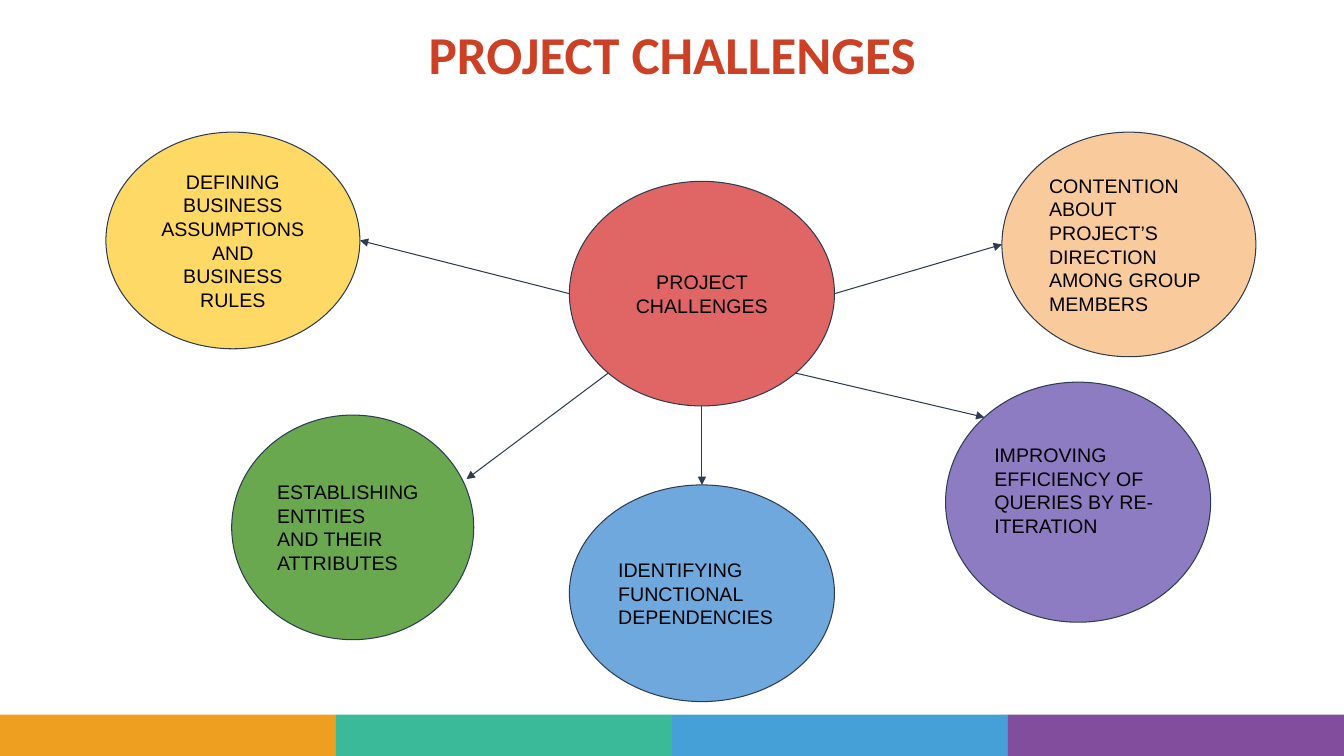
"""Build the project challenges slide: a hub with five arrows to its topics."""
import math

import pptx
import pptx.dml.color
import pptx.enum.shapes
import pptx.enum.text
import pptx.oxml
import pptx.oxml.ns
import pptx.util

Cm = pptx.util.Cm
Pt = pptx.util.Pt
RGB = pptx.dml.color.RGBColor
Align = pptx.enum.text.PP_ALIGN
Anchor = pptx.enum.text.MSO_ANCHOR
Shape = pptx.enum.shapes.MSO_SHAPE
Link = pptx.enum.shapes.MSO_CONNECTOR

WIDE, HIGH = 33.87, 19.05
BAND = 1.04
INSET = 0.25
DIAG = math.sqrt(0.5)

BLACK = RGB(0x00, 0x00, 0x00)
EDGE = RGB(0x2D, 0x3C, 0x50)
BRICK = RGB(0xCC, 0x41, 0x25)
BANDS = [
    RGB(0xEE, 0x9F, 0x20),
    RGB(0x3A, 0xBA, 0x99),
    RGB(0x46, 0xA0, 0xD8),
    RGB(0x82, 0x4D, 0x9D),
]

TITLE = "PROJECT CHALLENGES"
TITLE_BOX = (5.49, 0.48, 22.91, 3.15)

# name: (left, top, width, height), fill, alignment, bottom inset, paragraphs
OVALS = {
    "rules": ((2.67, 3.33, 6.4, 5.46), RGB(0xFF, 0xD9, 0x66), Align.CENTER, INSET,
              ["DEFINING BUSINESS ASSUMPTIONS", "AND", "BUSINESS RULES"]),
    "hub": ((14.35, 4.57, 6.68, 5.66), RGB(0xE0, 0x66, 0x66), Align.CENTER, INSET,
            ["PROJECT CHALLENGES"]),
    "entities": ((5.84, 10.46, 6.1, 5.66), RGB(0x6A, 0xA8, 0x4F), Align.LEFT, INSET,
                 ["ESTABLISHING ENTITIES", "AND THEIR ATTRIBUTES"]),
    "depends": ((14.35, 12.22, 6.68, 5.46), RGB(0x6F, 0xA8, 0xDC), Align.LEFT, INSET,
                ["IDENTIFYING FUNCTIONAL DEPENDENCIES"]),
    "group": ((25.25, 3.33, 6.4, 5.66), RGB(0xF9, 0xCB, 0x9C), Align.LEFT, INSET,
              ["CONTENTION ABOUT PROJECT’S DIRECTION AMONG GROUP MEMBERS"]),
    "queries": ((23.83, 9.63, 6.68, 6.05), RGB(0x8E, 0x7C, 0xC3), Align.LEFT, 0.85,
                ["IMPROVING EFFICIENCY OF QUERIES BY RE-ITERATION"]),
}

ARROWS = [
    ((-1, 0), "rules", (1, 0)),
    ((-DIAG, DIAG), "entities", (0.94, -0.43)),
    ((0, 1), "depends", (0, -1)),
    ((DIAG, DIAG), "queries", (-DIAG, -DIAG)),
    ((1, 0), "group", (-1, 0)),
]


def spot(name, side):
    """Return the point of an oval at a side given in radii from its centre."""
    left, top, wide, high = OVALS[name][0]
    return Cm(left + wide / 2 * (1 + side[0])), Cm(top + high / 2 * (1 + side[1]))


def draw(slide, kind, box, fill):
    """Add a flat filled shape without an outline."""
    shape = slide.shapes.add_shape(kind, *map(Cm, box))
    shape.shadow.inherit = False
    shape.fill.solid()
    shape.fill.fore_color.rgb = fill
    shape.line.fill.background()
    return shape


def write(shape, lines, align, font, size, color, bold=False, low=INSET):
    """Fill a shape with paragraphs in one style and return its frame."""
    frame = shape.text_frame
    frame.word_wrap = True
    frame.margin_left = frame.margin_right = frame.margin_top = Cm(INSET)
    frame.margin_bottom = Cm(low)
    frame.text = "\n".join(lines)
    for para in frame.paragraphs:
        para.alignment = align
        para.font.name = font
        para.font.size = Pt(size)
        para.font.bold = bold
        para.font.color.rgb = color
    return frame


def edge(line):
    """Give an outline or arrow the common thin dark stroke."""
    line.color.rgb = EDGE
    line.width = Pt(0.75)


def arrow(slide, start, end):
    """Add a straight arrow between two points."""
    link = slide.shapes.add_connector(Link.STRAIGHT, *start, *end)
    edge(link.line)
    head = pptx.oxml.ns.qn("a:tailEnd")
    link.line._get_or_add_ln().makeelement(head)
    tip = pptx.oxml.parse_xml(
        f'<a:tailEnd {pptx.oxml.ns.nsdecls("a")} type="triangle"/>')
    link.line._get_or_add_ln().append(tip)
    flat = pptx.oxml.parse_xml(f'<a:effectLst {pptx.oxml.ns.nsdecls("a")}/>')
    link._element.spPr.append(flat)


def main():
    """Lay out the slide and save it."""
    deck = pptx.Presentation()
    deck.slide_width, deck.slide_height = Cm(WIDE), Cm(HIGH)
    slide = deck.slides.add_slide(deck.slide_layouts[6])

    step = WIDE / len(BANDS)
    for i, fill in enumerate(BANDS):
        draw(slide, Shape.RECTANGLE, (i * step, HIGH - BAND, step, BAND), fill)

    title = slide.shapes.add_textbox(*map(Cm, TITLE_BOX))
    frame = write(title, [TITLE], Align.CENTER, "Calibri", 38, BRICK, bold=True)
    frame.paragraphs[0].line_spacing = 0.9

    for box, fill, align, low, lines in OVALS.values():
        oval = draw(slide, Shape.OVAL, box, fill)
        edge(oval.line)
        frame = write(oval, lines, align, "Arial", 14, BLACK, low=low)
        frame.vertical_anchor = Anchor.MIDDLE

    for side, name, goal in ARROWS:
        arrow(slide, spot("hub", side), spot(name, goal))

    deck.save("out.pptx")


if __name__ == "__main__":
    main()
